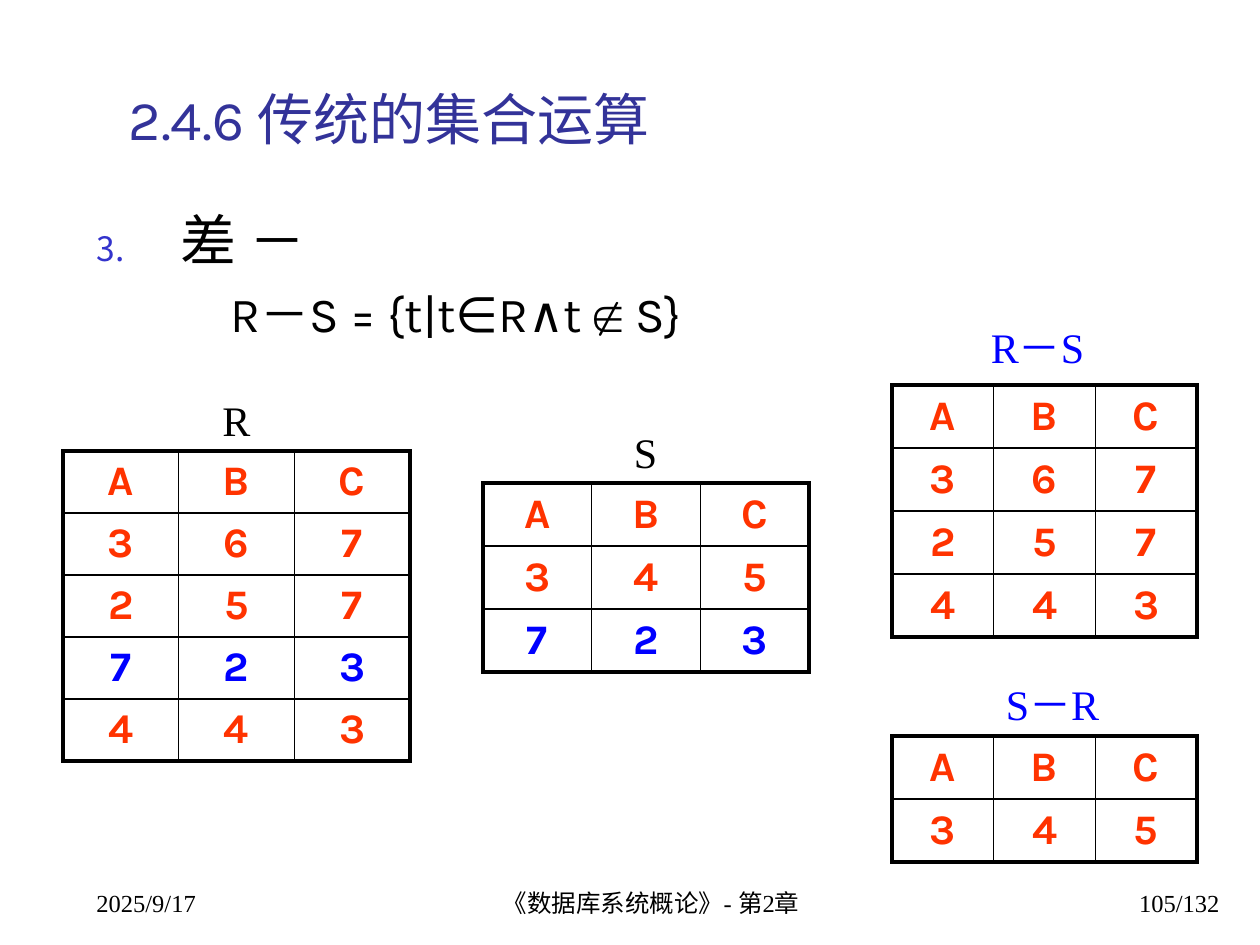
import pptx
import pptx.util
import pptx.dml.color
import pptx.enum.text
import pptx.oxml
import pptx.oxml.ns

RGBColor = pptx.dml.color.RGBColor
ALIGN = pptx.enum.text.PP_ALIGN
ANCHOR = pptx.enum.text.MSO_ANCHOR
AUTO = pptx.enum.text.MSO_AUTO_SIZE
Pt = pptx.util.Pt

BLACK = RGBColor(0x00, 0x00, 0x00)
NAVY = RGBColor(0x33, 0x33, 0x99)
BULLET = RGBColor(0x33, 0x33, 0xCC)
RED = RGBColor(0xFF, 0x33, 0x00)
BLUE = RGBColor(0x00, 0x00, 0xFF)

SANS, SERIF, MONO = "Karla", "Times New Roman", "Courier New"
PX_PER_INCH = 126
THICK, THIN = 2.25, 1


def px(n):
    return pptx.util.Emu(round(n * 914400 / PX_PER_INCH))


def place(s, box):
    s.left, s.top, s.width, s.height = (px(n) for n in box)


def add_text(p, text, size=24, font=SERIF, color=BLACK, bold=False, align=ALIGN.LEFT):
    """Append one formatted run to paragraph p."""
    p.alignment = align
    r = p.add_run()
    r.text = text
    r.font.size, r.font.name, r.font.bold = Pt(size), font, bold
    r.font.color.rgb = color


def add_xml(parent, xml, index=None):
    el = pptx.oxml.parse_xml(xml.replace(" ", f' {pptx.oxml.ns.nsdecls("a")} ', 1))
    parent.insert(len(parent) if index is None else index, el)


def text_box(slide, box, text, anchor=ANCHOR.TOP, **fmt):
    s = slide.shapes.add_textbox(0, 0, 0, 0)
    place(s, box)
    tf = s.text_frame
    tf.word_wrap, tf.vertical_anchor = True, anchor
    add_text(tf.paragraphs[0], text, **fmt)


def title(slide, box):
    s = slide.shapes.title
    place(s, box)
    tf = s.text_frame
    tf.vertical_anchor, tf.auto_size = ANCHOR.BOTTOM, AUTO.NONE
    add_text(tf.paragraphs[0], "2.4.6 传统的集合运算", size=32, font=SANS, color=NAVY)


def body(slide, box):
    s = slide.placeholders[1]
    place(s, box)
    tf = s.text_frame
    tf.auto_size = AUTO.NONE

    p = tf.paragraphs[0]
    p.space_before = Pt(0)
    pPr = p._p.get_or_add_pPr()
    pPr.set("marL", str(px(84)))
    pPr.set("indent", str(-px(84)))
    add_xml(pPr, f'<a:buClr ><a:srgbClr val="{BULLET}"/></a:buClr>')
    add_xml(pPr, '<a:buSzPct val="60000"/>')
    add_xml(pPr, '<a:buAutoNum type="arabicPeriod" startAt="3"/>')
    add_text(p, "差 －", size=32, font=SANS)

    p = tf.add_paragraph()
    p.space_before = Pt(6)
    pPr = p._p.get_or_add_pPr()
    pPr.set("marL", str(px(134)))
    pPr.set("indent", "0")
    add_xml(pPr, "<a:buNone />")
    add_text(p, "R－S = {t|t∈R∧t ", size=28, font=SANS)
    add_text(p, "∉", size=28, font=MONO, bold=True)
    add_text(p, " S}", size=28, font=SANS)


def set_borders(cell, **widths):
    """Draw black cell borders; widths in points are keyed L, R, T, B."""
    tcPr = cell._tc.get_or_add_tcPr()
    for i, (side, w) in enumerate(widths.items()):
        add_xml(tcPr, f'<a:ln{side} w="{Pt(w)}"><a:solidFill><a:srgbClr val="{BLACK}"/>'
                      f'</a:solidFill></a:ln{side}>', i)


def relation(slide, box, rows, blue_row=None):
    """Draw a relation with columns A, B, C; blue_row counts the header as 0."""
    grid = ["ABC", *rows]
    x, y, w, row_h = box
    last_row, last_col = len(grid) - 1, len(grid[0]) - 1
    tbl = slide.shapes.add_table(len(grid), len(grid[0]), px(x), px(y), px(w),
                                 px(row_h * len(grid))).table
    tbl.first_row = tbl.horz_banding = False
    for i, row in enumerate(grid):
        tbl.rows[i].height = px(row_h)
        for j, value in enumerate(row):
            cell = tbl.cell(i, j)
            cell.vertical_anchor = ANCHOR.MIDDLE
            cell.fill.background()
            add_text(cell.text_frame.paragraphs[0], value, font=SANS, bold=True,
                     color=BLUE if i == blue_row else RED, align=ALIGN.CENTER)
            set_borders(cell,
                        L=THICK if j == 0 else THIN,
                        R=THICK if j == last_col else THIN,
                        T=THICK if i == 0 else THIN,
                        B=THICK if i == last_row else THIN)


def footer(slide, y, h):
    items = [(84, 262, "2025/9/17", ALIGN.LEFT),
             (451, 400, "《数据库系统概论》- 第2章", ALIGN.CENTER),
             (970, 262, "105/132", ALIGN.RIGHT)]
    for x, w, text, align in items:
        text_box(slide, (x, y, w, h), text, anchor=ANCHOR.BOTTOM, size=14, align=align)


def main():
    prs = pptx.Presentation()
    prs.slide_width, prs.slide_height = px(1260), px(945)
    slide = prs.slides.add_slide(prs.slide_layouts[1])

    title(slide, (116, 53, 1116, 105))
    body(slide, (84, 199, 1150, 645))

    relation(slide, (63, 451, 347, 62), ["367", "257", "723", "443"], blue_row=3)
    relation(slide, (483, 483, 326, 63), ["345", "723"], blue_row=2)
    relation(slide, (892, 385, 305, 63), ["367", "257", "443"])
    relation(slide, (892, 736, 305, 63), ["345"])

    labels = [((179, 388, 115, 63), "R", BLACK),
              ((588, 420, 115, 63), "S", BLACK),
              ((940, 315, 195, 63), "R－S", BLUE),
              ((961, 672, 183, 63), "S－R", BLUE)]
    for box, text, color in labels:
        text_box(slide, box, text, color=color, align=ALIGN.CENTER)

    footer(slide, 861, 63)
    prs.save("out.pptx")


if __name__ == "__main__":
    main()
